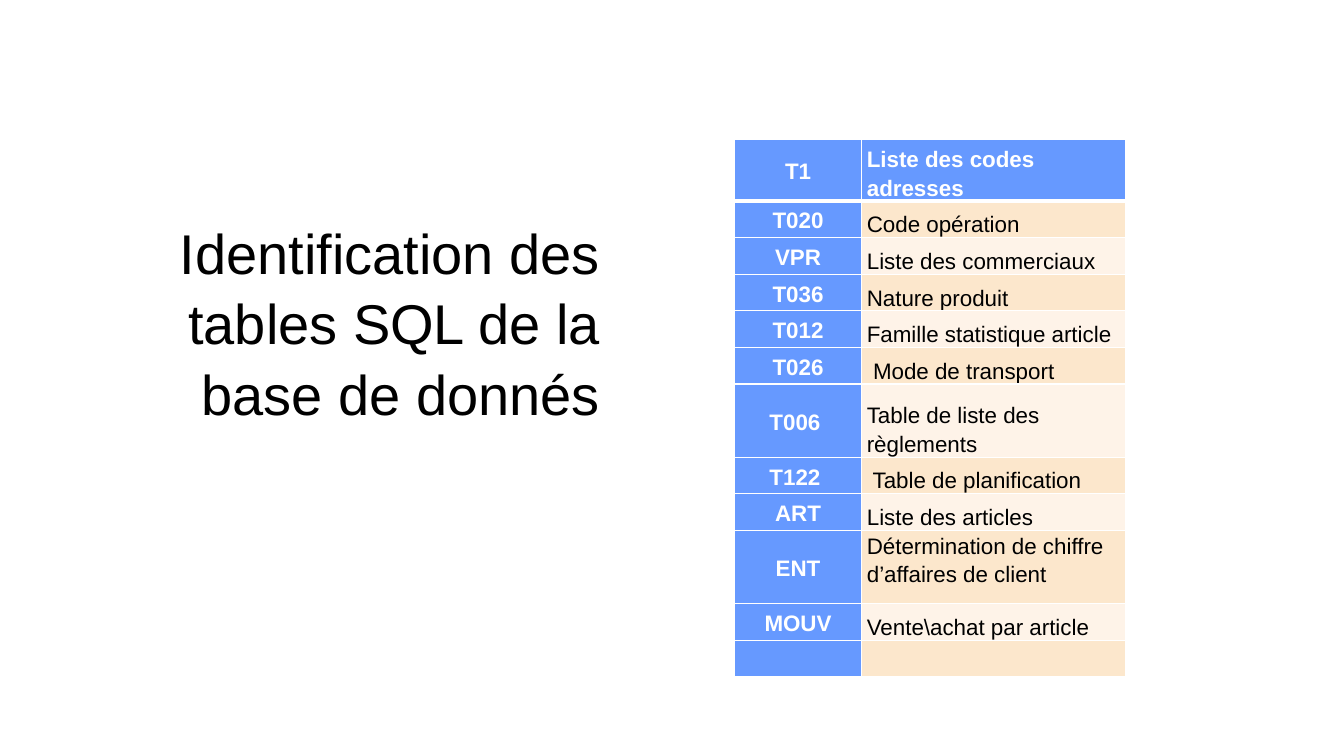
from dataclasses import dataclass

from lxml import etree
from pptx import Presentation
from pptx.dml.color import RGBColor
from pptx.enum import text as t
from pptx.oxml import ns
from pptx.util import Pt

BLUE = RGBColor(0x66, 0x99, 0xFF)
PEACH = RGBColor(0xFC, 0xE7, 0xCC)
CREAM = RGBColor(0xFE, 0xF3, 0xE8)
WHITE = RGBColor(0xFF, 0xFF, 0xFF)
BLACK = RGBColor(0, 0, 0)

FONT = "Arial"
ROW_HEIGHT = 26.15
COLUMN_WIDTHS = (91.1, 188.6)
THIN, THICK = 1, 3


@dataclass(frozen=True)
class SqlTable:
    code: str
    description: str
    lines: int = 1
    anchor: t.MSO_ANCHOR = t.MSO_ANCHOR.BOTTOM


SQL_TABLES = [
    SqlTable("T1", "Liste des codes adresses"),
    SqlTable("T020", "Code opération"),
    SqlTable("VPR", "Liste des commerciaux"),
    SqlTable("T036", "Nature produit"),
    SqlTable("T012", "Famille statistique article"),
    SqlTable("T026", " Mode de transport"),
    SqlTable("T006 ", "Table de liste des règlements", lines=2),
    SqlTable("T122 ", " Table de planification"),
    SqlTable("ART", "Liste des articles"),
    SqlTable("ENT", "Détermination de chiffre d’affaires de client", 2, t.MSO_ANCHOR.TOP),
    SqlTable("MOUV", "Vente\\achat par article"),
    SqlTable("", ""),
]


def set_font(paragraph, size: float, color: RGBColor, bold: bool = False) -> None:
    font = paragraph.font
    font.name, font.size, font.bold = FONT, Pt(size), bold
    font.color.rgb = color


def set_borders(cell, top: float, bottom: float) -> None:
    properties = cell._tc.get_or_add_tcPr()
    widths = {"lnL": THIN, "lnR": THIN, "lnT": top, "lnB": bottom}
    for position, (side, width) in enumerate(widths.items()):
        line = etree.Element(ns.qn(f"a:{side}"), w=str(Pt(width)))
        fill = etree.SubElement(line, ns.qn("a:solidFill"))
        etree.SubElement(fill, ns.qn("a:srgbClr"), val=str(WHITE))
        properties.insert(position, line)


def fill_cell(cell, content: str, fill: RGBColor, color: RGBColor, bold: bool,
              align: t.PP_ALIGN, anchor: t.MSO_ANCHOR) -> None:
    cell.fill.solid()
    cell.fill.fore_color.rgb = fill
    cell.margin_left = cell.margin_right = Pt(3.6)
    cell.margin_top = cell.margin_bottom = Pt(0)
    cell.vertical_anchor = anchor
    cell.text = content
    paragraph = cell.text_frame.paragraphs[0]
    paragraph.alignment = align
    paragraph.line_spacing = 1.15
    paragraph.space_after = Pt(10)
    set_font(paragraph, 16, color, bold)


def add_title(slide) -> None:
    title = slide.shapes.title
    title.left, title.top, title.width, title.height = Pt(49.7), Pt(149.8), Pt(385.9), Pt(152.6)
    frame = title.text_frame
    frame.text = "Identification des tables SQL de la base de donnés"
    frame.word_wrap = True
    frame.auto_size = t.MSO_AUTO_SIZE.SHAPE_TO_FIT_TEXT
    frame.vertical_anchor = t.MSO_ANCHOR.TOP
    paragraph = frame.paragraphs[0]
    paragraph.alignment = t.PP_ALIGN.RIGHT
    paragraph.line_spacing = 1.05
    set_font(paragraph, 40, BLACK)


def add_sql_tables(slide) -> None:
    grid = slide.shapes.add_table(len(SQL_TABLES), 2, Pt(524.5), Pt(99.4),
                                  Pt(sum(COLUMN_WIDTHS)), Pt(382.5)).table
    for column, width in zip(grid.columns, COLUMN_WIDTHS):
        column.width = Pt(width)

    for index, entry in enumerate(SQL_TABLES):
        grid.rows[index].height = Pt(ROW_HEIGHT * entry.lines)
        header = index == 0
        band = BLUE if header else (CREAM, PEACH)[index % 2]
        code, description = grid.cell(index, 0), grid.cell(index, 1)
        fill_cell(code, entry.code, BLUE, WHITE, True,
                  t.PP_ALIGN.CENTER, t.MSO_ANCHOR.MIDDLE)
        fill_cell(description, entry.description, band, WHITE if header else BLACK,
                  header, t.PP_ALIGN.LEFT, entry.anchor)
        # The header is separated from the rows by a thicker line
        for cell in (code, description):
            set_borders(cell, top=THICK if index == 1 else THIN,
                        bottom=THICK if header else THIN)


def main() -> None:
    deck = Presentation()
    deck.slide_width, deck.slide_height = Pt(960), Pt(540)
    slide = deck.slides.add_slide(deck.slide_layouts[5])
    add_title(slide)
    add_sql_tables(slide)
    deck.save("out.pptx")


if __name__ == "__main__":
    main()
